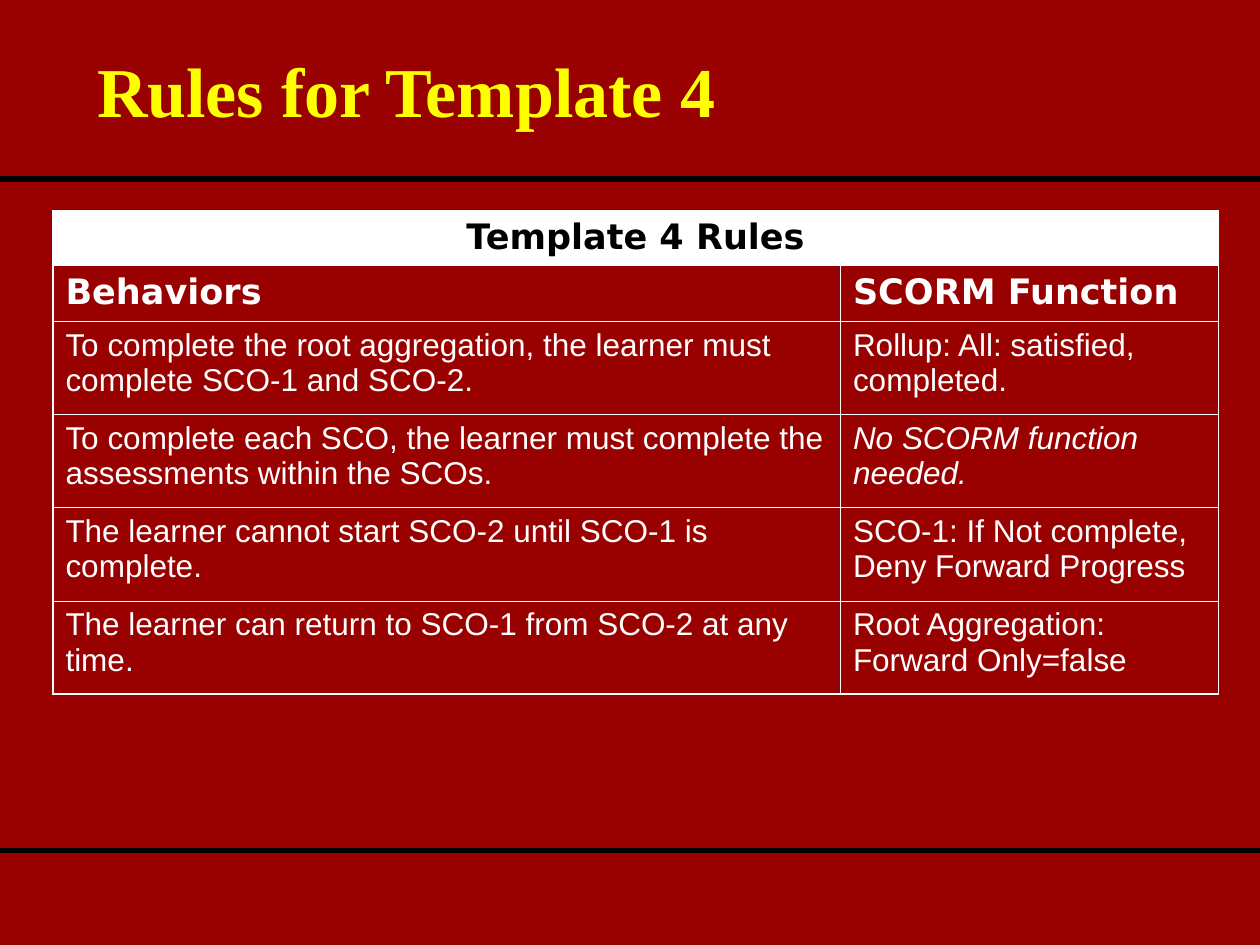
"""Build the Template 4 rules slide with its title, rule lines and table."""
from dataclasses import dataclass

from lxml import etree
from pptx import Presentation
from pptx.dml.color import RGBColor
from pptx.enum import shapes, text
from pptx.oxml import ns
from pptx.util import Inches, Pt


@dataclass(frozen=True)
class Theme:
    background: str = "990000"
    title: str = "FFFF00"
    light: str = "FFFFFF"
    dark: str = "000000"
    title_font: str = "Times New Roman"
    head_font: str = "DejaVu Sans"
    body_font: str = "Arial"
    title_size: float = 40
    head_size: float = 20
    body_size: float = 18
    rule_width: float = 3
    outer_border: float = 1.08
    inner_border: float = 0.45


theme = Theme()


def write(frame, words, *, font, size, color, bold=False, italic=False,
          align=text.PP_ALIGN.LEFT):
    para = frame.paragraphs[0]
    para.alignment = align
    span = para.add_run()
    span.text = words
    span.font.name = font
    span.font.size = Pt(size)
    span.font.bold = bold
    span.font.italic = italic
    span.font.color.rgb = RGBColor.from_string(color)


def add_border(cell, side, width):
    properties = cell._tc.get_or_add_tcPr()
    line = etree.SubElement(properties, ns.qn(f"a:ln{side}"), w=str(Pt(width)))
    fill = etree.SubElement(line, ns.qn("a:solidFill"))
    etree.SubElement(fill, ns.qn("a:srgbClr"), val=theme.light)


deck = Presentation()
deck.slide_width, deck.slide_height = Inches(10), Inches(7.5)
page = deck.slides.add_slide(deck.slide_layouts[5])
page.background.fill.solid()
page.background.fill.fore_color.rgb = RGBColor.from_string(theme.background)

for height in (6.75, 1.42):
    rule = page.shapes.add_connector(
        shapes.MSO_CONNECTOR.STRAIGHT,
        Inches(10), Inches(height), Inches(0), Inches(height))
    rule.line.color.rgb = RGBColor.from_string(theme.dark)
    rule.line.width = Pt(theme.rule_width)
    etree.SubElement(rule._element.spPr, ns.qn("a:effectLst"))

title = page.shapes.title
title.left, title.top = Inches(0.67), Inches(0.17)
title.width, title.height = Inches(8.75), Inches(1.08)
title.text_frame.vertical_anchor = text.MSO_ANCHOR.MIDDLE
title.text_frame.auto_size = text.MSO_AUTO_SIZE.NONE
write(title.text_frame, "Rules for Template 4", font=theme.title_font,
      size=theme.title_size, color=theme.title, bold=True)

rows = [
    ("Template 4 Rules", ""),
    ("Behaviors", "SCORM Function"),
    ("To complete the root aggregation, the learner must complete SCO-1 and SCO-2.",
     "Rollup: All: satisfied, completed."),
    ("To complete each SCO, the learner must complete the assessments within the SCOs.",
     "No SCORM function needed."),
    ("The learner cannot start SCO-2 until SCO-1 is complete.",
     "SCO-1: If Not complete, Deny Forward Progress"),
    ("The learner can return to SCO-1 from SCO-2 at any time.",
     "Root Aggregation: Forward Only=false"),
]
column_widths = (6.25, 3)
head_rows = 2
last_row, last_column = len(rows) - 1, len(column_widths) - 1

table = page.shapes.add_table(
    len(rows), len(column_widths),
    Inches(0.42), Inches(1.67), Inches(9.25), Inches(3.83)).table
table.first_row = table.horz_banding = False
for column, width in zip(table.columns, column_widths):
    column.width = Inches(width)
table.cell(0, 0).merge(table.cell(0, last_column))

for row_index, row in enumerate(rows):
    is_banner, is_head = row_index == 0, row_index < head_rows
    table.rows[row_index].height = Inches(0.44 if is_head else 0.74)
    for column_index, words in enumerate(row):
        cell = table.cell(row_index, column_index)
        edges = {"L": column_index == 0, "R": column_index == last_column,
                 "T": row_index == 0, "B": row_index == last_row}
        for side, is_outer in edges.items():
            add_border(cell, side,
                       theme.outer_border if is_outer else theme.inner_border)
        if is_banner:
            cell.fill.solid()
            cell.fill.fore_color.rgb = RGBColor.from_string(theme.light)
        else:
            cell.fill.background()
        if cell.is_spanned:
            continue
        write(cell.text_frame, words,
              font=theme.head_font if is_head else theme.body_font,
              size=theme.head_size if is_head else theme.body_size,
              color=theme.dark if is_banner else theme.light,
              bold=is_head, italic=words.startswith("No SCORM"),
              align=text.PP_ALIGN.CENTER if is_banner else text.PP_ALIGN.LEFT)

deck.save("out.pptx")
